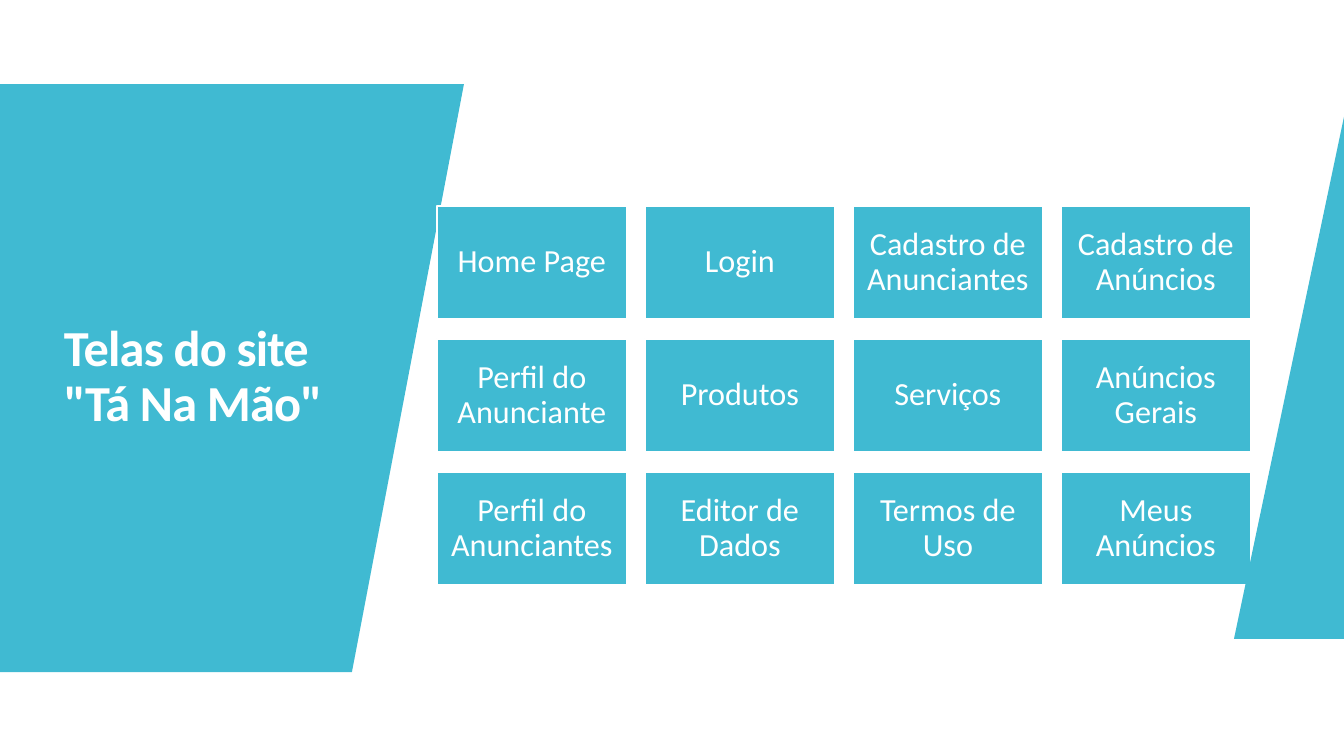
from pptx import Presentation
from pptx.dml.color import RGBColor
from pptx.enum.shapes import MSO_SHAPE
from pptx.enum.text import MSO_ANCHOR, PP_ALIGN
from pptx.util import Emu, Pt

SCALE = 914400 / 100.8  # EMU in one px
COLORS = {"teal": "40BAD2", "white": "FFFFFF"}
FONT = "Calibri"

LEFT_BAND = [(0, 84), (464, 84), (352, 672), (0, 672)]
RIGHT_BAND = [(1344, 117), (1344, 639), (1234, 639)]

SCREENS = [
    ["Home Page", "Login", "Cadastro de Anunciantes", "Cadastro de Anúncios"],
    ["Perfil do Anunciante", "Produtos", "Serviços", "Anúncios Gerais"],
    ["Perfil do Anunciantes", "Editor de Dados", "Termos de Uso", "Meus Anúncios"],
]
GRID_LEFT, GRID_TOP = 437, 206
TILE_W, TILE_H = 190, 113
STEP_X, STEP_Y = 208, 133


def px(n):
    return Emu(round(n * SCALE))


def color(name):
    return RGBColor.from_string(COLORS[name])


def paint(shape):
    shape.shadow.inherit = False
    shape.fill.solid()
    shape.fill.fore_color.rgb = color("teal")


def add_band(slide, points):
    pen = slide.shapes.build_freeform(*points[0], scale=SCALE)
    pen.add_line_segments(points[1:], close=True)
    band = pen.convert_to_shape()
    paint(band)
    band.line.fill.background()


def write(frame, text, size, align, bold=False):
    frame.word_wrap = True
    frame.vertical_anchor = MSO_ANCHOR.MIDDLE
    para = frame.paragraphs[0]
    para.alignment = align
    para.line_spacing = 0.9
    run = para.add_run()
    run.text = text
    font = run.font
    font.name, font.size, font.bold = FONT, Pt(size), bold
    font.color.rgb = color("white")
    return run


def add_title(slide, text):
    box = slide.shapes.add_textbox(px(54), px(185), px(305), px(385))
    run = write(box.text_frame, text, 36, PP_ALIGN.LEFT, bold=True)
    run._r.get_or_add_rPr().set("spc", "-60")


def add_tile(slide, text, left, top):
    tile = slide.shapes.add_shape(
        MSO_SHAPE.RECTANGLE, px(left), px(top), px(TILE_W), px(TILE_H))
    paint(tile)
    tile.line.color.rgb = color("white")
    tile.line.width = Pt(0.85)
    frame = tile.text_frame
    frame.margin_left = frame.margin_right = px(10)
    frame.margin_top = frame.margin_bottom = px(10)
    write(frame, text, 23, PP_ALIGN.CENTER)


def main():
    deck = Presentation()
    deck.slide_width, deck.slide_height = px(1344), px(756)
    slide = deck.slides.add_slide(deck.slide_layouts[6])

    # Left band with the title
    add_band(slide, LEFT_BAND)
    add_title(slide, 'Telas do site "Tá Na Mão"')

    # Grid of site screens
    for row, names in enumerate(SCREENS):
        for col, name in enumerate(names):
            add_tile(slide, name, GRID_LEFT + col * STEP_X, GRID_TOP + row * STEP_Y)

    # Right wedge, in front of the grid
    add_band(slide, RIGHT_BAND)

    deck.save("out.pptx")


if __name__ == "__main__":
    main()
